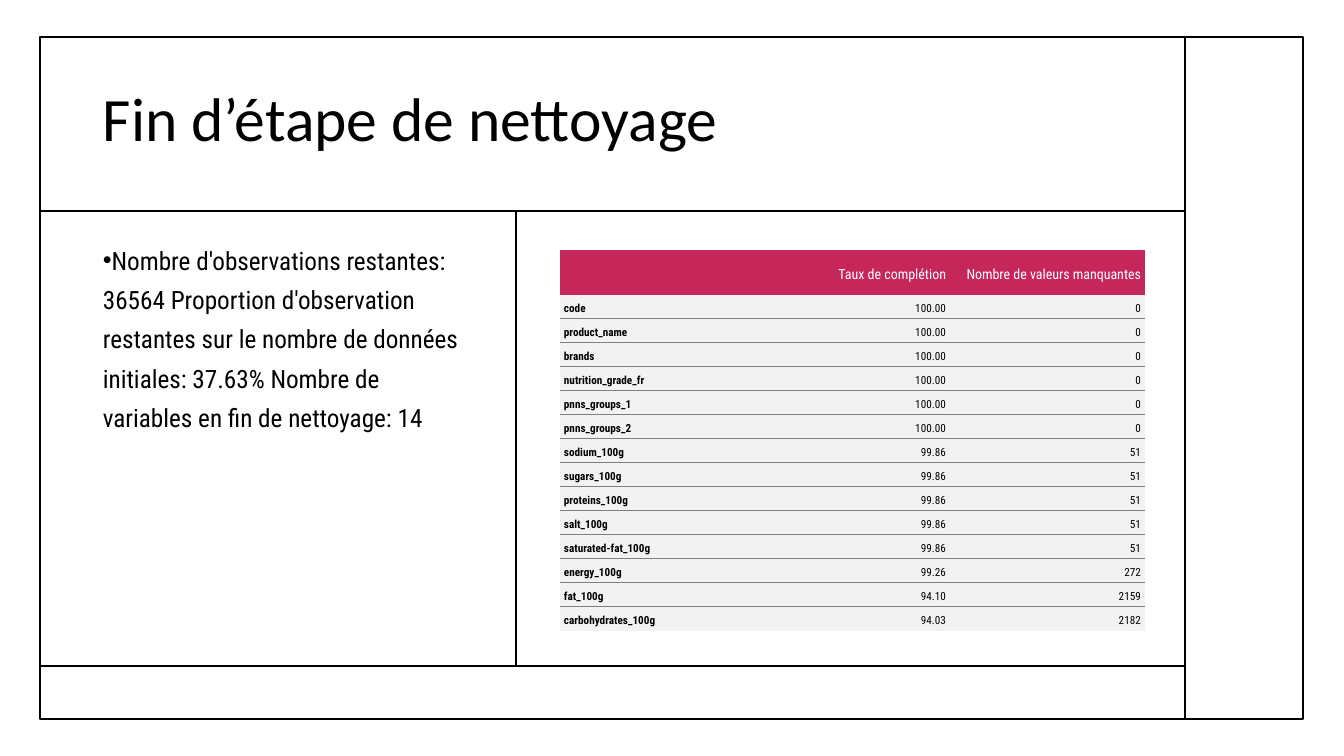
from lxml import etree
from pptx import Presentation
from pptx.dml.color import RGBColor
from pptx.enum.shapes import MSO_CONNECTOR, MSO_SHAPE
from pptx.enum.text import MSO_ANCHOR, PP_ALIGN
from pptx.oxml.ns import qn
from pptx.util import Pt

TITLE = "Fin d’étape de nettoyage"
SUMMARY = (
    "Nombre d'observations restantes: 36564 Proportion d'observation "
    "restantes sur le nombre de données initiales: 37.63% "
    "Nombre de variables en fin de nettoyage: 14"
)
HEADER = ("", "Taux de complétion", "Nombre de valeurs manquantes")
VARIABLES = [
    ("code", "100.00", "0"),
    ("product_name", "100.00", "0"),
    ("brands", "100.00", "0"),
    ("nutrition_grade_fr", "100.00", "0"),
    ("pnns_groups_1", "100.00", "0"),
    ("pnns_groups_2", "100.00", "0"),
    ("sodium_100g", "99.86", "51"),
    ("sugars_100g", "99.86", "51"),
    ("proteins_100g", "99.86", "51"),
    ("salt_100g", "99.86", "51"),
    ("saturated-fat_100g", "99.86", "51"),
    ("energy_100g", "99.26", "272"),
    ("fat_100g", "94.10", "2159"),
    ("carbohydrates_100g", "94.03", "2182"),
]

BLACK = RGBColor(0x00, 0x00, 0x00)
WHITE = RGBColor(0xFF, 0xFF, 0xFF)
CRIMSON = RGBColor(0xC5, 0x27, 0x5A)
PALE = RGBColor(0xF2, 0xF2, 0xF2)
RULE_GREY = RGBColor(0x80, 0x80, 0x80)
TITLE_FONT = "Calibri"
BODY_FONT = "Roboto Condensed"
STRAIGHT = MSO_CONNECTOR.STRAIGHT
RECTANGLE = MSO_SHAPE.RECTANGLE
MIDDLE = MSO_ANCHOR.MIDDLE
LEFT, RIGHT = PP_ALIGN.LEFT, PP_ALIGN.RIGHT
PLAIN_TABLE = "{2D5ABB26-0587-4C30-8999-92F81FD0307C}"

FRAME_LEFT, FRAME_TOP, FRAME_RIGHT, FRAME_BOTTOM = 40, 37, 1303, 719
SIDEBAR_X, SPLIT_X = 1185, 516
TITLE_RULE_Y, FOOTER_RULE_Y = 211, 666
DIVIDERS = [
    (FRAME_LEFT, FOOTER_RULE_Y, SIDEBAR_X, FOOTER_RULE_Y),
    (SIDEBAR_X, FRAME_TOP, SIDEBAR_X, FRAME_BOTTOM),
    (SPLIT_X, TITLE_RULE_Y, SPLIT_X, FOOTER_RULE_Y),
    (FRAME_LEFT, TITLE_RULE_Y, SIDEBAR_X, TITLE_RULE_Y),
]
TEXT_LEFT = 93
TABLE_LEFT, TABLE_TOP = 560, 250
COLUMN_W, HEADER_H, ROW_H = 195, 45, 24


def px(n):
    return round(n * 914400 / 100.8)


def style(paragraph, font, size, color, bold=False):
    for run in paragraph.runs:
        run.font.name = font
        run.font.size = Pt(size)
        run.font.color.rgb = color
        run.font.bold = bold


def add_text(slide, text, box, font, size, spacing):
    frame = slide.shapes.add_textbox(*map(px, box)).text_frame
    frame.word_wrap = True
    frame.text = text
    paragraph = frame.paragraphs[0]
    paragraph.line_spacing = spacing
    style(paragraph, font, size, BLACK)
    return frame


def add_divider(slide, ends):
    divider = slide.shapes.add_connector(STRAIGHT, *map(px, ends))
    divider.line.color.rgb = BLACK
    divider.line.width = Pt(1)
    etree.SubElement(divider._element.spPr, qn("a:effectLst"))


def add_bottom_rule(cell):
    rule = etree.Element(qn("a:lnB"), w=str(Pt(0.75)))
    fill = etree.SubElement(rule, qn("a:solidFill"))
    etree.SubElement(fill, qn("a:srgbClr"), val=str(RULE_GREY))
    cell._tc.get_or_add_tcPr().insert(0, rule)


def add_variables(slide):
    rows = [HEADER] + VARIABLES
    heights = [HEADER_H] + [ROW_H] * len(VARIABLES)
    box = (TABLE_LEFT, TABLE_TOP, COLUMN_W * len(HEADER), sum(heights))
    table = slide.shapes.add_table(len(rows), len(HEADER), *map(px, box)).table
    table.horz_banding = False
    table._tbl.tblPr.find(qn("a:tableStyleId")).text = PLAIN_TABLE
    for column in table.columns:
        column.width = px(COLUMN_W)
    for r, values in enumerate(rows):
        table.rows[r].height = px(heights[r])
        is_header = r == 0
        for c, value in enumerate(values):
            cell = table.cell(r, c)
            cell.text = value
            cell.vertical_anchor = MIDDLE
            cell.margin_left = cell.margin_right = px(4)
            cell.margin_top, cell.margin_bottom = px(6), px(2)
            cell.fill.solid()
            cell.fill.fore_color.rgb = CRIMSON if is_header else PALE
            paragraph = cell.text_frame.paragraphs[0]
            paragraph.alignment = RIGHT if c else LEFT
            if is_header:
                style(paragraph, BODY_FONT, 10, WHITE)
            else:
                style(paragraph, BODY_FONT, 8, BLACK, bold=c == 0)
            if 0 < r < len(VARIABLES):
                add_bottom_rule(cell)


def main():
    deck = Presentation()
    deck.slide_width, deck.slide_height = px(1344), px(756)
    slide = deck.slides.add_slide(deck.slide_layouts[6])

    title = add_text(slide, TITLE, (TEXT_LEFT, 60, 1046, 124), TITLE_FONT, 44, 0.9)
    title.vertical_anchor = MIDDLE

    summary = add_text(slide, SUMMARY, (TEXT_LEFT, 231, 384, 413), BODY_FONT, 18, 1.3)
    paragraph = summary.paragraphs[0]
    paragraph.space_after = Pt(6)
    properties = paragraph._p.get_or_add_pPr()
    properties.set("marL", "0")
    properties.set("indent", str(-px(25)))
    etree.SubElement(properties, qn("a:buFont"), typeface="Arial")
    etree.SubElement(properties, qn("a:buChar"), char="•")

    size = (FRAME_RIGHT - FRAME_LEFT, FRAME_BOTTOM - FRAME_TOP)
    frame = slide.shapes.add_shape(RECTANGLE, *map(px, (FRAME_LEFT, FRAME_TOP, *size)))
    frame.shadow.inherit = False
    frame.fill.background()
    frame.line.color.rgb = BLACK
    frame.line.width = Pt(1)
    for ends in DIVIDERS:
        add_divider(slide, ends)

    add_variables(slide)
    deck.save("out.pptx")


if __name__ == "__main__":
    main()
